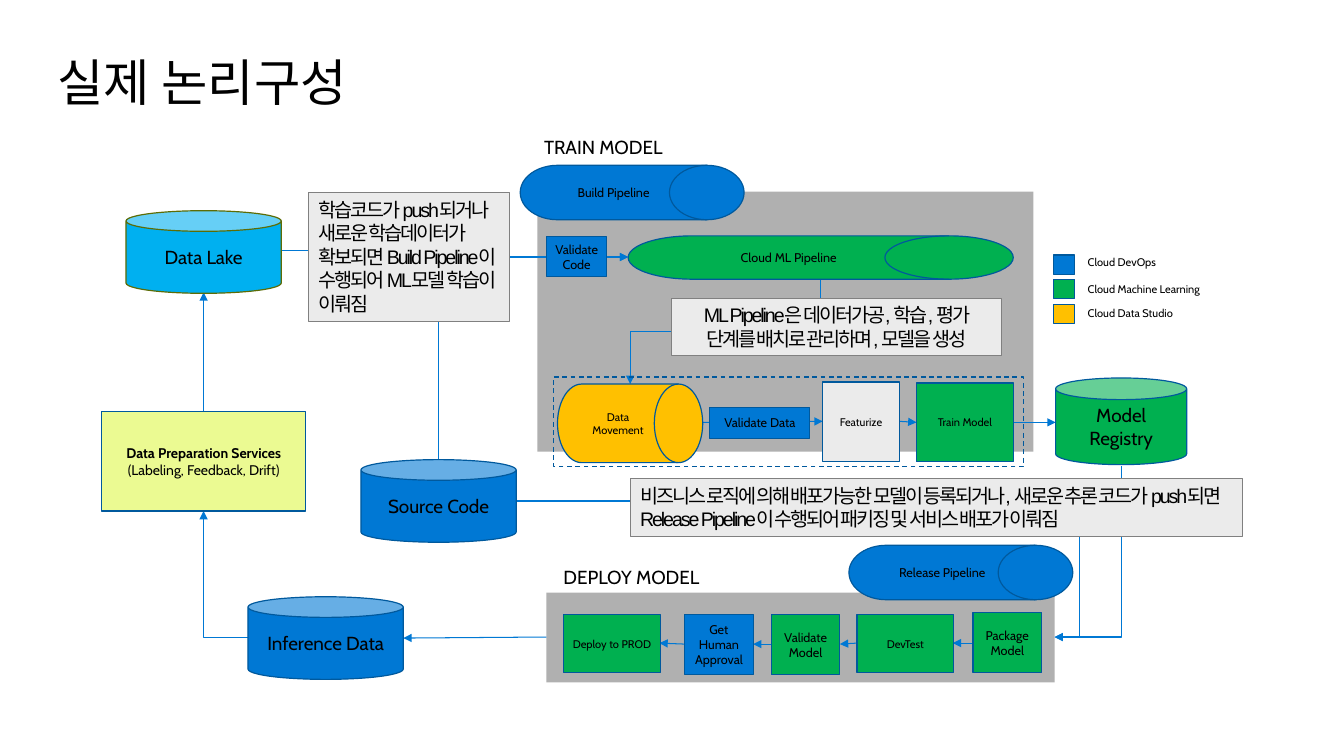
import pptx
import pptx.dml.color
import pptx.enum.dml
import pptx.enum.shapes
import pptx.enum.text
import pptx.oxml.ns
import pptx.util
from lxml import etree

Inches = pptx.util.Inches
Pt = pptx.util.Pt
RGBColor = pptx.dml.color.RGBColor
SHAPE = pptx.enum.shapes.MSO_SHAPE
CONNECTOR = pptx.enum.shapes.MSO_CONNECTOR
ALIGN = pptx.enum.text.PP_ALIGN
ANCHOR = pptx.enum.text.MSO_ANCHOR
qn = pptx.oxml.ns.qn

BLUE = RGBColor(0x00, 0x78, 0xD4)
GREEN = RGBColor(0x00, 0xB0, 0x50)
AMBER = RGBColor(0xFF, 0xC0, 0x00)
SKY = RGBColor(0x00, 0xB0, 0xF0)
LIME = RGBColor(0xEB, 0xFA, 0x92)
LIGHT = RGBColor(0xEB, 0xEB, 0xEB)
PANEL = RGBColor(0xB0, 0xB0, 0xB0)
GRAY = RGBColor(0x80, 0x80, 0x80)
NAVY = RGBColor(0x00, 0x59, 0x9D)
OLIVE = RGBColor(0x5D, 0x6C, 0x05)
BLACK = RGBColor(0x00, 0x00, 0x00)

BOX, CAN, DRUM = SHAPE.RECTANGLE, SHAPE.CAN, SHAPE.FLOWCHART_DIRECT_ACCESS_STORAGE
NODE_INSETS = (0.07, 0.04, 0.07, 0.04)
TEXT_INSETS = (0.1, 0.05, 0.1, 0.05)

# kind, left, top, width, height, fill, text, size
NODES = [
    (CAN, 3.58, 4.56, 1.54, 0.82, BLUE, "Source Code", 13.5),
    (CAN, 2.46, 5.92, 1.54, 0.82, BLUE, "Inference Data", 13.5),
    (CAN, 10.47, 3.75, 1.3, 0.86, GREEN, "Model Registry", 13.5),
    (DRUM, 5.16, 1.64, 2.22, 0.54, BLUE, "Build Pipeline", 9),
    (DRUM, 8.42, 5.41, 2.22, 0.54, BLUE, "Release Pipeline", 9),
    (DRUM, 6.23, 2.34, 3.82, 0.43, GREEN, "Cloud ML Pipeline", 9),
    (DRUM, 5.53, 3.81, 1.44, 0.78, AMBER, "Data Movement", 7.9),
    (BOX, 5.42, 2.35, 0.6, 0.39, BLUE, "Validate Code", 9),
    (BOX, 7.04, 4.04, 0.99, 0.31, BLUE, "Validate Data", 9),
    (BOX, 8.16, 3.79, 0.76, 0.79, LIGHT, "Featurize", 7.9),
    (BOX, 9.09, 3.8, 0.96, 0.78, GREEN, "Train Model", 7.9),
    (BOX, 5.59, 6.1, 0.96, 0.57, GREEN, "Deploy to PROD", 7.9),
    (BOX, 6.79, 6.1, 0.68, 0.59, BLUE, "Get Human Approval", 9),
    (BOX, 7.65, 6.1, 0.68, 0.59, GREEN, "Validate Model", 9),
    (BOX, 8.5, 6.1, 0.96, 0.57, GREEN, "DevTest", 7.9),
    (BOX, 9.65, 6.08, 0.68, 0.59, GREEN, "Package Model", 9),
]

STRAIGHT_ARROWS = [
    (6.97, 4.19, 8.16, 4.18), (8.92, 4.18, 9.09, 4.19), (10.05, 4.19, 10.47, 4.19),
    (9.65, 6.38, 9.45, 6.38), (8.5, 6.38, 8.33, 6.39), (7.65, 6.39, 7.47, 6.39),
    (6.79, 6.39, 6.54, 6.38), (5.42, 6.32, 4, 6.33), (2.02, 4.08, 2.02, 2.9),
]

NOTES = [
    (3.06, 1.91, 1.99, 1.28, ALIGN.LEFT,
     "학습코드가 push되거나 새로운 학습데이터가 확보되면 Build Pipeline이 수행되어 ML모델 학습이 이뤄짐"),
    (6.66, 2.96, 3.27, 0.57, ALIGN.CENTER,
     "ML Pipeline은 데이터가공, 학습, 평가 단계를 배치로 관리하며, 모델을 생성"),
    (6.25, 4.75, 6.07, 0.57, ALIGN.LEFT,
     "비즈니스 로직에 의해 배포가능한 모델이 등록되거나, 새로운 추론 코드가 push되면 "
     "Release Pipeline이 수행되어 패키징 및 서비스 배포가 이뤄짐"),
]

LEGEND = [
    (2.53, 2.48, BLUE, "Cloud DevOps"),
    (2.77, 2.75, GREEN, "Cloud Machine Learning"),
    (3.02, 2.99, AMBER, "Cloud Data Studio"),
]


def add_text(sp, text, size=9, font="Cabin", bold=False, align=ALIGN.LEFT,
             anchor=ANCHOR.TOP, insets=TEXT_INSETS, spacing=None):
    """Append a run to the first paragraph of a shape and format its frame."""
    tf = sp.text_frame
    tf.word_wrap = True
    tf.vertical_anchor = anchor
    tf.margin_left, tf.margin_top, tf.margin_right, tf.margin_bottom = map(Inches, insets)
    p = tf.paragraphs[0]
    p.alignment = align
    r = p.add_run()
    r.text = text
    r.font.size, r.font.name, r.font.bold = Pt(size), font, bold
    r.font.color.rgb = BLACK
    if spacing is not None:
        r.font._element.set("spc", str(round(spacing * 100)))


def add_label(s, left, top, width, height, text, **fmt):
    sp = s.shapes.add_textbox(Inches(left), Inches(top), Inches(width), Inches(height))
    add_text(sp, text, **fmt)


def add_block(s, kind, left, top, width, height, fill=None, line=NAVY, weight=0.85):
    sp = s.shapes.add_shape(kind, Inches(left), Inches(top), Inches(width), Inches(height))
    sp.shadow.inherit = False
    if fill is None:
        sp.fill.background()
    else:
        sp.fill.solid()
        sp.fill.fore_color.rgb = fill
    if line is None:
        sp.line.fill.background()
    else:
        sp.line.color.rgb = line
        sp.line.width = Pt(weight)
    return sp


def add_node(s, kind, left, top, width, height, fill, text, size, line=NAVY):
    sp = add_block(s, kind, left, top, width, height, fill, line)
    add_text(sp, text, size=size, align=ALIGN.CENTER, anchor=ANCHOR.MIDDLE, insets=NODE_INSETS)
    return sp


def add_arrow(s, x1, y1, x2, y2, kind=CONNECTOR.STRAIGHT, end="tailEnd"):
    cxn = s.shapes.add_connector(kind, Inches(x1), Inches(y1), Inches(x2), Inches(y2))
    cxn.line.color.rgb = BLUE
    cxn.line.width = Pt(0.75)
    etree.SubElement(cxn.line._get_or_add_ln(), qn("a:" + end), type="triangle")
    etree.SubElement(cxn._element.spPr, qn("a:effectLst"))
    return cxn


def add_elbow(s, x1, y1, x2, y2, bend=0.5, end="tailEnd"):
    """Horizontal, vertical, horizontal; bend is the turn's share of the width."""
    cxn = add_arrow(s, x1, y1, x2, y2, CONNECTOR.ELBOW, end)
    guides = cxn._element.spPr.find(qn("a:prstGeom")).get_or_add_avLst()
    etree.SubElement(guides, qn("a:gd"), name="adj1", fmla=f"val {round(bend * 100000)}")


def add_corner(s, x1, y1, x2, y2, end="tailEnd"):
    """One turn: horizontal from the first point, then vertical to the second."""
    cxn = add_arrow(s, x1, y1, x2, y2, CONNECTOR.ELBOW, end)
    cxn._element.spPr.find(qn("a:prstGeom")).set("prst", "bentConnector2")


def add_drop(s, x1, y1, x2, y2):
    """Vertical, horizontal, vertical, down and to the left: an elbow turned by 90 degrees."""
    cx, cy = (x1 + x2) / 2, (y1 + y2) / 2
    dx, dy = (y2 - y1) / 2, (x1 - x2) / 2
    cxn = add_arrow(s, cx - dx, cy - dy, cx + dx, cy + dy, CONNECTOR.ELBOW)
    cxn._element.spPr.find(qn("a:xfrm")).set("rot", "5400000")


def add_arrows(s):
    for ends in STRAIGHT_ARROWS:
        add_arrow(s, *ends)
    add_elbow(s, 2.79, 2.49, 6.23, 2.55)
    add_elbow(s, 5.12, 4.97, 10.46, 6.32, bend=1.047)
    add_drop(s, 8.14, 2.77, 6.25, 3.81)
    add_corner(s, 2.46, 6.33, 2.02, 5.07)
    add_corner(s, 10.46, 6.32, 11.12, 4.62, end="headEnd")
    add_corner(s, 6.23, 2.55, 4.35, 4.56, end="headEnd")


def add_legend(s):
    for key_top, label_top, color, text in LEGEND:
        add_block(s, BOX, 10.45, key_top, 0.21, 0.19, color)
        add_label(s, 10.69, label_top, 1.46, 0.23, text, size=7.9)


def main():
    prs = pptx.Presentation()
    prs.slide_width, prs.slide_height = Inches(13.33), Inches(7.5)
    s = prs.slides.add_slide(prs.slide_layouts[6])

    add_label(s, 0.47, 0.33, 12.4, 0.83, "실제 논리구성", size=36, insets=(0.1, 0.18, 0, 0))
    add_block(s, BOX, 5.33, 1.9, 4.92, 2.58, PANEL, None)
    add_block(s, BOX, 5.42, 5.88, 5.04, 0.89, PANEL, None)
    add_label(s, 5.01, 1.3, 1.66, 0.33, "TRAIN MODEL", size=13.5, align=ALIGN.RIGHT)
    add_label(s, 5.49, 5.56, 2.64, 0.33, "DEPLOY MODEL", size=13.5)

    add_arrows(s)
    for node in NODES:
        add_node(s, *node)
    add_node(s, CAN, 1.25, 2.09, 1.54, 0.82, SKY, "Data Lake", 13.5, line=OLIVE)
    sp = add_block(s, BOX, 1.01, 4.08, 2.02, 0.99, LIME)
    for text, bold in (("Data Preparation Services ", True), ("(Labeling, Feedback, Drift)", False)):
        add_text(sp, text, size=10, bold=bold, align=ALIGN.CENTER,
                 anchor=ANCHOR.MIDDLE, insets=NODE_INSETS)

    frame = add_block(s, BOX, 5.49, 3.74, 4.66, 0.89)
    frame.line.dash_style = pptx.enum.dml.MSO_LINE.DASH
    for left, top, width, height, align, text in NOTES:
        sp = add_block(s, BOX, left, top, width, height, LIGHT, GRAY, 0.75)
        add_text(sp, text, size=14, font="Arial", align=align, spacing=-1.5)
    add_legend(s)
    prs.save("out.pptx")


if __name__ == "__main__":
    main()
